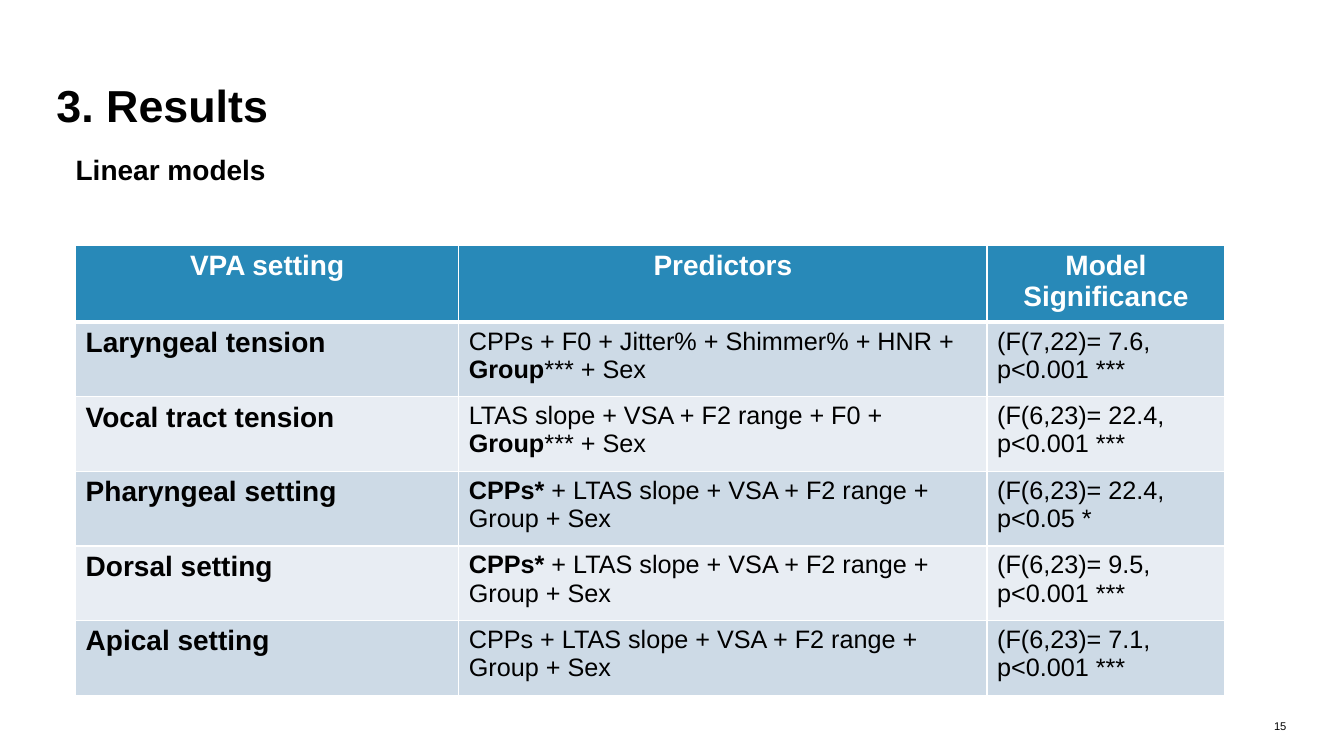
from dataclasses import dataclass

from lxml import etree
from pptx import Presentation
from pptx.dml.color import RGBColor
from pptx.enum.text import MSO_ANCHOR, PP_ALIGN
from pptx.oxml.ns import qn
from pptx.util import Inches, Pt

LEFT, CENTER, RIGHT = PP_ALIGN.LEFT, PP_ALIGN.CENTER, PP_ALIGN.RIGHT
TOP, BOTTOM = MSO_ANCHOR.TOP, MSO_ANCHOR.BOTTOM


@dataclass(frozen=True)
class Theme:
    font: str = "Arial"
    text: str = "000000"
    white: str = "FFFFFF"
    header: str = "2889B8"
    bands: tuple = ("CDDAE6", "E8EDF3")
    title: int = 32
    heading: int = 20
    body: int = 18
    number: int = 8
    rule: int = 1
    header_rule: int = 3


THEME = Theme()
SLIDE_W, SLIDE_H = 13.33, 7.5
COLUMN_WIDTHS = (3.8, 5.24, 2.36)

HEADER = ("VPA setting", "Predictors", "Model\nSignificance")
MODELS = (
    ("Laryngeal tension",
     (("CPPs + F0 + Jitter% + Shimmer% + HNR + ", False), ("Group", True), ("*** + Sex", False)),
     "(F(7,22)= 7.6, p<0.001 ***"),
    ("Vocal tract tension",
     (("LTAS slope + VSA + F2 range + F0 + ", False), ("Group", True), ("*** + Sex", False)),
     "(F(6,23)= 22.4, p<0.001 ***"),
    ("Pharyngeal setting",
     (("CPPs* ", True), ("+ LTAS slope + VSA + F2 range + Group + Sex", False)),
     "(F(6,23)= 22.4, p<0.05 *"),
    ("Dorsal setting",
     (("CPPs* ", True), ("+ LTAS slope + VSA + F2 range + Group + Sex", False)),
     "(F(6,23)= 9.5, p<0.001 ***"),
    ("Apical setting",
     (("CPPs + LTAS slope + VSA + F2 range + Group + Sex", False),),
     "(F(6,23)= 7.1, p<0.001 ***"),
)


def style_paragraph(p, size, color, bold, align):
    p.alignment = align
    p.font.name = THEME.font
    p.font.size = Pt(size)
    p.font.color.rgb = RGBColor.from_string(color)
    if bold is not None:
        p.font.bold = bold


def add_text(s, box, text, size, bold=False, align=LEFT, anchor=TOP, spacing=1.0):
    tf = s.shapes.add_textbox(*map(Inches, box)).text_frame
    tf.word_wrap = True
    tf.vertical_anchor = anchor
    tf.margin_left = tf.margin_right = tf.margin_top = tf.margin_bottom = 0
    p = tf.paragraphs[0]
    p.text = text
    p.line_spacing = spacing
    style_paragraph(p, size, THEME.text, bold, align)


def set_borders(cell, top, bottom):
    tc_pr = cell._tc.get_or_add_tcPr()
    widths = {"lnL": THEME.rule, "lnR": THEME.rule, "lnT": top, "lnB": bottom}
    for side, width in widths.items():
        line = etree.SubElement(tc_pr, qn(f"a:{side}"), w=str(Pt(width)))
        fill = etree.SubElement(line, qn("a:solidFill"))
        etree.SubElement(fill, qn("a:srgbClr"), val=THEME.white)


def fill_cell(cell, content, fill, size, color, bold, align=LEFT):
    cell.fill.solid()
    cell.fill.fore_color.rgb = RGBColor.from_string(fill)
    tf = cell.text_frame
    if isinstance(content, str):
        tf.text = content
    else:
        for text, run_bold in content:
            r = tf.paragraphs[0].add_run()
            r.text = text
            r.font.bold = run_bold
    for p in tf.paragraphs:
        style_paragraph(p, size, color, bold, align)


def add_models_table(s, box):
    rows = len(MODELS) + 1
    table = s.shapes.add_table(rows, len(HEADER), *map(Inches, box)).table
    for column, width in zip(table.columns, COLUMN_WIDTHS):
        column.width = Inches(box[2] * width / sum(COLUMN_WIDTHS))
    for i, content in enumerate((HEADER,) + MODELS):
        table.rows[i].height = Inches(box[3] / rows)
        for j, value in enumerate(content):
            cell = table.cell(i, j)
            set_borders(cell,
                        THEME.header_rule if i == 1 else THEME.rule,
                        THEME.header_rule if i == 0 else THEME.rule)
            if i == 0:
                fill_cell(cell, value, THEME.header, THEME.heading, THEME.white, True, CENTER)
            else:
                size = THEME.heading if j == 0 else THEME.body
                bold = None if j == 1 else j == 0
                fill_cell(cell, value, THEME.bands[(i - 1) % 2], size, THEME.text, bold)


def add_results_slide(prs):
    s = prs.slides.add_slide(prs.slide_layouts[6])
    add_text(s, (0.56, 0.23, 11.24, 1.08), "3. Results", THEME.title,
             bold=True, anchor=BOTTOM, spacing=0.9)
    add_text(s, (0.75, 1.51, 12.02, 0.4), "Linear models", THEME.heading, bold=True)
    add_models_table(s, (0.75, 2.43, 11.4, 4.44))
    add_text(s, (12.33, 6.87, 0.43, 0.4), "15", THEME.number, align=RIGHT, anchor=BOTTOM)


def main():
    prs = Presentation()
    prs.slide_width, prs.slide_height = Inches(SLIDE_W), Inches(SLIDE_H)
    add_results_slide(prs)
    prs.save("out.pptx")


if __name__ == "__main__":
    main()
